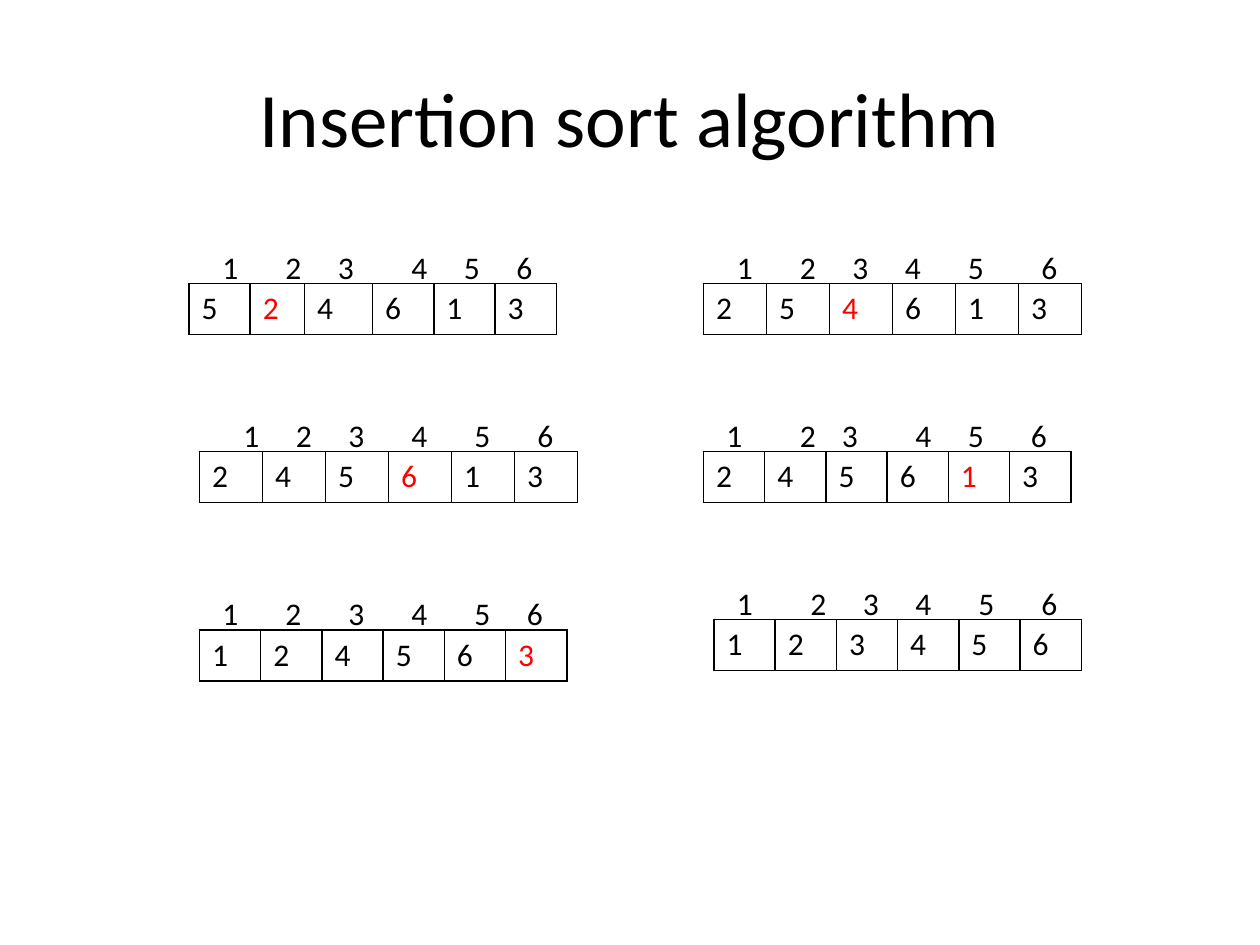
from pptx import Presentation
from pptx.dml.color import RGBColor
from pptx.enum.text import MSO_ANCHOR, MSO_AUTO_SIZE, PP_ALIGN
from pptx.oxml import parse_xml
from pptx.oxml.ns import nsdecls
from pptx.util import Pt

COLORS = {"text": "000000", "key": "FF0000", "line": "000000"}


def style(para, size, color="text"):
    para.font.name = "Calibri"
    para.font.size = Pt(size)
    para.font.color.rgb = RGBColor.from_string(COLORS[color])


def border(cell):
    props = cell._tc.get_or_add_tcPr()
    for i, side in enumerate(("lnL", "lnR", "lnT", "lnB")):
        props.insert(i, parse_xml(
            f'<a:{side} {nsdecls("a")} w="{Pt(1)}"><a:solidFill>'
            f'<a:srgbClr val="{COLORS["line"]}"/></a:solidFill></a:{side}>'))


deck = Presentation()
deck.slide_width, deck.slide_height = Pt(720), Pt(540)
slide = deck.slides.add_slide(deck.slide_layouts[5])
shapes = slide.shapes

title = shapes.title
title.left, title.top, title.width, title.height = Pt(36), Pt(21.6), Pt(648), Pt(90)
title.text_frame.text = "Insertion sort algorithm"
title.text_frame.vertical_anchor = MSO_ANCHOR.MIDDLE
head = title.text_frame.paragraphs[0]
head.alignment = PP_ALIGN.CENTER
style(head, 44)

even, wide = [35] * 6, [36] * 6
steps = [
    (108, 162, "524613", 1, [35, 31, 39, 35, 35, 35], [120, 156, 186, 228, 258, 288]),
    (402, 162, "254613", 2, wide, [414, 450, 480, 510, 546, 588]),
    (114, 258, "245613", 3, wide, [132, 162, 192, 228, 264, 300]),
    (402, 258, "245613", 4, even, [408, 450, 474, 516, 546, 582]),
    (114, 360, "124563", 5, even, [120, 156, 192, 228, 264, 294]),
    (408, 354, "123456", None, even, [414, 456, 486, 516, 552, 588]),
]

for left, top, values, key, widths, marks in steps:
    frame = shapes.add_table(1, 6, Pt(left), Pt(top), Pt(sum(widths)), Pt(29.2))
    table = frame.table
    table.first_row = table.horz_banding = False
    table.rows[0].height = Pt(29.2)
    for col, (value, width) in enumerate(zip(values, widths)):
        table.columns[col].width = Pt(width)
        cell = table.cell(0, col)
        cell.text = value
        cell.fill.background()
        border(cell)
        style(cell.text_frame.paragraphs[0], 18, "key" if col == key else "text")

    for index, mark in enumerate(marks, 1):
        label = shapes.add_textbox(Pt(mark), Pt(top - 24), Pt(23.76), Pt(29.08)).text_frame
        label.text = str(index)
        label.word_wrap = False
        label.auto_size = MSO_AUTO_SIZE.SHAPE_TO_FIT_TEXT
        style(label.paragraphs[0], 18)

deck.save("out.pptx")
